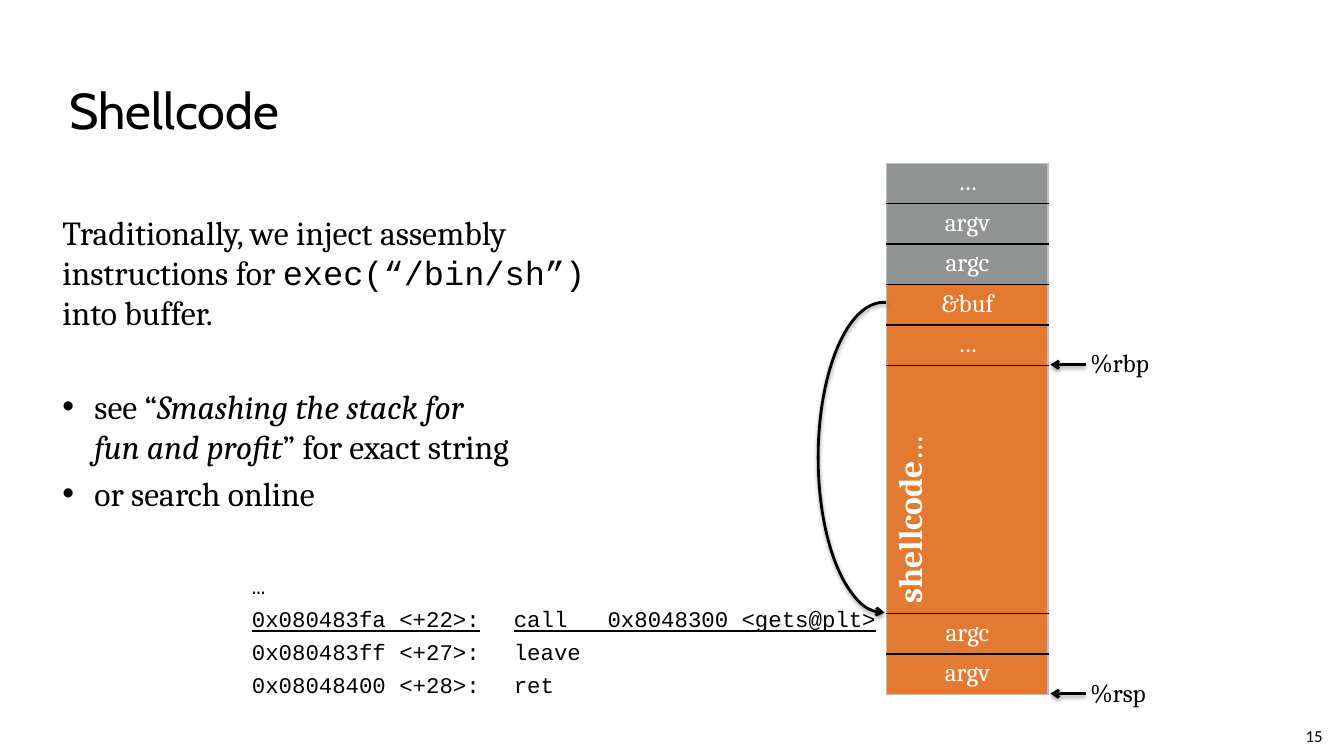
from dataclasses import dataclass

from lxml import etree
from pptx import Presentation
from pptx.dml.color import RGBColor
from pptx.enum.shapes import MSO_CONNECTOR, MSO_SHAPE
from pptx.enum.text import MSO_ANCHOR, PP_ALIGN
from pptx.oxml import parse_xml
from pptx.oxml.ns import nsdecls, qn
from pptx.util import Cm, Pt

LEFT, CENTER, RIGHT = PP_ALIGN.LEFT, PP_ALIGN.CENTER, PP_ALIGN.RIGHT
TOP, MIDDLE = MSO_ANCHOR.TOP, MSO_ANCHOR.MIDDLE
STRAIGHT = MSO_CONNECTOR.STRAIGHT
ARC = MSO_SHAPE.ARC


@dataclass(frozen=True)
class Theme:
    ink: str = "000000"
    pale: str = "FFFFFE"
    gray: str = "929393"
    orange: str = "E47932"
    edge: str = "BFBFBF"
    head: str = "Cabin"
    serif: str = "Cambria"
    mono: str = "Courier New"
    sans: str = "Calibri"
    title: int = 36
    body: int = 24
    label: int = 18
    code: int = 16
    page: int = 12


theme = Theme()


def write(para, text, font=theme.serif, size=theme.body, color=theme.ink,
          bold=False, italic=False, under=False, align=LEFT):
    para.alignment = align
    for i, line in enumerate(text.split("\n")):
        if i:
            para.add_line_break()
        if line:
            run = para.add_run()
            run.text = line
            face = run.font
            face.name, face.size = font, Pt(size)
            face.bold, face.italic, face.underline = bold, italic, under
            face.color.rgb = RGBColor.from_string(color)


def trace(shape, end):
    shape.line.color.rgb = RGBColor.from_string(theme.ink)
    shape.line.width = Pt(2)
    props = shape._element.spPr
    tip = etree.SubElement(props.find(qn("a:ln")), qn(end))
    tip.set("type", "arrow")
    props.append(parse_xml(
        f'<a:effectLst {nsdecls("a")}><a:outerShdw blurRad="{Pt(3.1)}" '
        f'dist="{Pt(1.6)}" dir="5400000" rotWithShape="0">'
        f'<a:srgbClr val="{theme.ink}"><a:alpha val="38000"/></a:srgbClr>'
        '</a:outerShdw></a:effectLst>'))


deck = Presentation()
deck.slide_width, deck.slide_height = Cm(33.87), Cm(19.05)
slide = deck.slides.add_slide(deck.slide_layouts[6])
shapes = slide.shapes

frames = {}
for name, box, anchor, wrap in [
    ("code", (6.35, 14.3, 17, 3.6), TOP, True),
    ("body", (1.32, 5.21, 18, 9), TOP, True),
    ("page", (25.68, 18.03, 7.9, 1.02), MIDDLE, True),
    ("title", (1.5, 1.02, 29.21, 3.68), MIDDLE, True),
    ("%rbp", (27.23, 8.64, 2.11, 1.02), TOP, False),
    ("%rsp", (27.23, 16.94, 2.06, 1.02), TOP, False),
]:
    frame = shapes.add_textbox(*map(Cm, box)).text_frame
    frame.word_wrap, frame.vertical_anchor = wrap, anchor
    frames[name] = frame

title = frames["title"].paragraphs[0]
title.line_spacing = 0.9
write(title, "Shellcode", font=theme.head, size=theme.title)
write(frames["page"].paragraphs[0], "15", font=theme.sans, size=theme.page,
      align=RIGHT)

body = frames["body"]
intro = body.paragraphs[0]
write(intro, "Traditionally, we inject assembly\ninstructions for ")
write(intro, "exec(“/bin/sh”)\n", font=theme.mono)
write(intro, "into buffer.")
for gap, parts in [
    (38, [("see “", False), ("Smashing the stack for\nfun and profit", True),
          ("” for exact string", False)]),
    (4.8, [("or search online", False)]),
]:
    para = body.add_paragraph()
    para.space_before = Pt(gap)
    props = para._p.get_or_add_pPr()
    props.set("marL", str(Cm(0.81)))
    props.set("indent", str(Cm(-0.81)))
    etree.SubElement(props, qn("a:buFont")).set("typeface", "Arial")
    etree.SubElement(props, qn("a:buChar")).set("char", "•")
    for text, slant in parts:
        write(para, text, italic=slant)

code = frames["code"]
code.margin_left = 0
for i, (place, order) in enumerate([
    ("…", ""),
    ("0x080483fa <+22>:", "call   0x8048300 <gets@plt>"),
    ("0x080483ff <+27>:", "leave"),
    ("0x08048400 <+28>:", "ret"),
]):
    para = code.add_paragraph() if i else code.paragraphs[0]
    if i:
        para.space_before = Pt(4.2)
    stops = etree.SubElement(para._p.get_or_add_pPr(), qn("a:tabLst"))
    stop = etree.SubElement(stops, qn("a:tab"))
    stop.set("pos", str(Cm(6.6)))
    stop.set("algn", "l")
    mark = order.startswith("call")
    write(para, place, font=theme.mono, size=theme.code, under=mark)
    if order:
        write(para, "\t", font=theme.mono, size=theme.code)
        write(para, order, font=theme.mono, size=theme.code, under=mark)

stack = [
    ("…", theme.gray), ("argv", theme.gray), ("argc", theme.gray),
    ("&buf", theme.orange), ("…", theme.orange), ("shellcode", theme.orange),
    ("argc", theme.orange), ("argv", theme.orange),
]
last = len(stack) - 1
table = shapes.add_table(len(stack), 1, Cm(22.35), Cm(4.11), Cm(4.06),
                         Cm(13.39)).table
table.first_row = table.horz_banding = False
for i, (text, fill) in enumerate(stack):
    tall = text == "shellcode"
    table.rows[i].height = Cm(6.25 if tall else 1.02)
    cell = table.cell(i, 0)
    props = cell._tc.get_or_add_tcPr()
    for side, outer in [("L", True), ("R", True), ("T", i == 0),
                        ("B", i == last)]:
        tone = theme.edge if outer else theme.ink
        props.append(parse_xml(
            f'<a:ln{side} {nsdecls("a")} w="{Pt(1)}"><a:solidFill>'
            f'<a:srgbClr val="{tone}"/></a:solidFill></a:ln{side}>'))
    cell.fill.solid()
    cell.fill.fore_color.rgb = RGBColor.from_string(fill)
    para = cell.text_frame.paragraphs[0]
    if tall:
        props.set("vert", "vert270")
        cell.vertical_anchor = MIDDLE
        write(para, text, color=theme.pale, bold=True)
        write(para, "…", color=theme.pale)
    else:
        write(para, text, size=theme.label, color=theme.pale, align=CENTER)

for name, y in [("%rbp", 9.19), ("%rsp", 17.48)]:
    write(frames[name].paragraphs[0], name, size=theme.label)
    arrow = shapes.add_connector(STRAIGHT, Cm(27.56 - 0.2), Cm(y),
                                 Cm(26.47), Cm(y))
    trace(arrow, "a:tailEnd")

jump = shapes.add_shape(ARC, Cm(20.62), Cm(7.62), Cm(3.3), Cm(7.82))
jump.adjustments[0], jump.adjustments[1] = 53.79, 162.51
jump.fill.background()
trace(jump, "a:headEnd")

deck.save("out.pptx")
